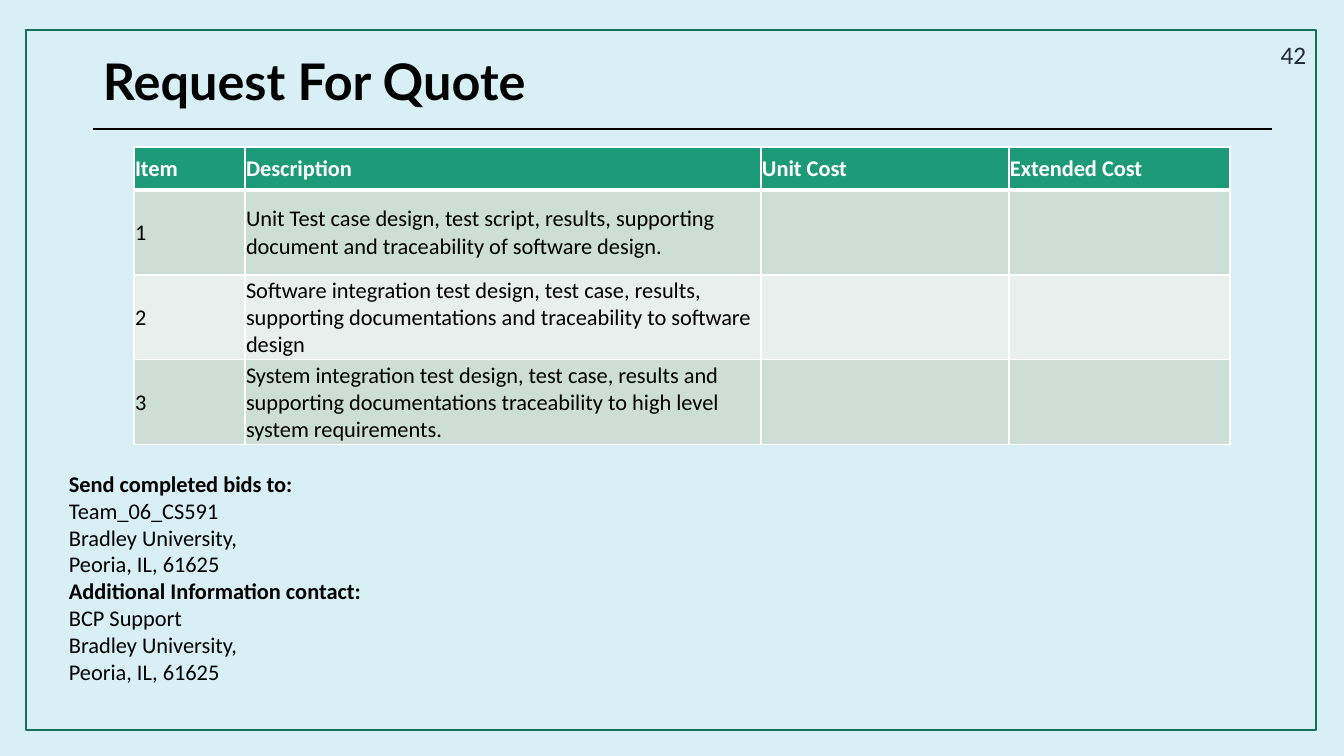
from lxml import etree
from pptx import Presentation
from pptx import util as u
from pptx.dml import color
from pptx.enum import shapes, text
from pptx.oxml import ns


def rgb(value):
    return color.RGBColor.from_string(value)


def px(n):
    return u.Emu(round(n * 914400 / 100.8))


def write(p, value, size=16, font="Calibri", fill="000000", bold=False, align=None):
    p.alignment = align
    r = p.add_run()
    r.text = value
    f = r.font
    f.size, f.name, f.bold = u.Pt(size), font, bold
    f.color.rgb = rgb(fill)


class Slide:
    GREEN, WHITE, BLACK = "1D9A78", "FFFFFF", "000000"
    BANDS = "CDDED6", "E8EFEC"

    def __init__(self, prs, background):
        self.s = prs.slides.add_slide(prs.slide_layouts[6])
        fill = self.s.background.fill
        fill.solid()
        fill.fore_color.rgb = rgb(background)

    def text(self, box, lines, anchor=text.MSO_ANCHOR.TOP, top=5, spacing=None, **style):
        tf = self.s.shapes.add_textbox(*map(px, box)).text_frame
        tf.word_wrap = True
        tf.vertical_anchor = anchor
        tf.margin_top = px(top)
        for i, (value, bold) in enumerate(lines):
            p = tf.add_paragraph() if i else tf.paragraphs[0]
            p.line_spacing = spacing
            write(p, value, bold=bold, **style)

    def frame(self, box, line, width):
        sp = self.s.shapes.add_shape(shapes.MSO_SHAPE.RECTANGLE, *map(px, box))
        sp.shadow.inherit = False
        sp.fill.background()
        sp.line.color.rgb = rgb(line)
        sp.line.width = u.Pt(width)

    def rule(self, ends, width):
        c = self.s.shapes.add_connector(shapes.MSO_CONNECTOR.STRAIGHT, *map(px, ends))
        c.line.color.rgb = rgb(self.BLACK)
        c.line.width = u.Pt(width)
        etree.SubElement(c._element.spPr, ns.qn("a:effectLst"))

    def borders(self, cell, widths):
        tcPr = cell._tc.get_or_add_tcPr()
        for i, (side, width) in enumerate(zip("LRTB", widths)):
            ln = etree.Element(ns.qn("a:ln" + side), w=str(u.Pt(width)))
            fill = etree.SubElement(ln, ns.qn("a:solidFill"))
            etree.SubElement(fill, ns.qn("a:srgbClr"), val=self.WHITE)
            tcPr.insert(i, ln)

    def table(self, left, top, widths, heights, rows):
        box = left, top, sum(widths), sum(heights)
        t = self.s.shapes.add_table(len(rows), len(widths), *map(px, box)).table
        for column, width in zip(t.columns, widths):
            column.width = px(width)
        for i, (row, height) in enumerate(zip(rows, heights)):
            t.rows[i].height = px(height)
            header = i == 0
            for j, value in enumerate(row):
                cell = t.cell(i, j)
                cell.fill.solid()
                cell.fill.fore_color.rgb = rgb(self.GREEN if header else self.BANDS[(i - 1) % 2])
                cell.margin_left = cell.margin_right = cell.margin_top = px(1)
                cell.margin_bottom = 0
                cell.vertical_anchor = text.MSO_ANCHOR.MIDDLE
                if value:
                    write(cell.text_frame.paragraphs[0], value, bold=header,
                          fill=self.WHITE if header else self.BLACK)
                self.borders(cell, (1, 1, 3 if i == 1 else 1, 3 if header else 1))


prs = Presentation()
prs.slide_width, prs.slide_height = px(1344), px(756)

s = Slide(prs, "D7EFF5")
s.text((93, 40, 1159, 146), [("Request For Quote", True)], top=17, spacing=0.9,
       size=36, font="Lato")
s.rule((93, 129, 1272, 129), 1.5)
s.frame((26, 30, 1290, 700), "157259", 1)
s.table(134, 147, (111, 516, 248, 221), (43, 85, 85, 85), [
    ("Item", "Description", "Unit Cost", "Extended Cost"),
    ("1", "Unit Test case design, test script, results, supporting document "
          "and traceability of software design.", "", ""),
    ("2", "Software integration test design, test case, results, supporting "
          "documentations and traceability to software design", "", ""),
    ("3", "System integration test design, test case, results and supporting "
          "documentations traceability to high level system requirements.", "", ""),
])
address = [("Bradley University,", False), ("Peoria, IL, 61625", False)]
s.text((59, 465, 1225, 228), [
    ("Send completed bids to:", True), ("Team_06_CS591", False), *address,
    ("Additional Information contact:", True), ("BCP Support", False), *address,
])
s.text((1014, 34, 302, 40), [("42", False)], anchor=text.MSO_ANCHOR.MIDDLE,
       size=18, fill="222A35", align=text.PP_ALIGN.RIGHT)

prs.save("out.pptx")
